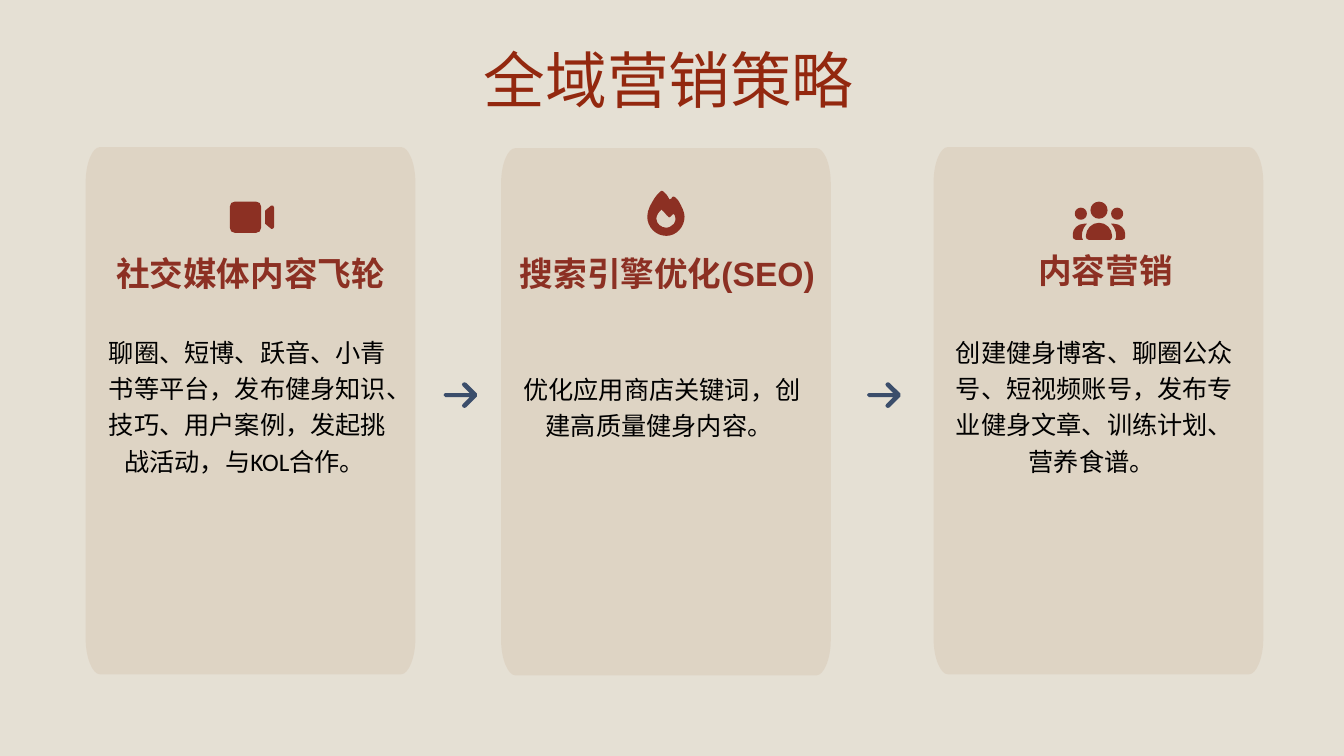
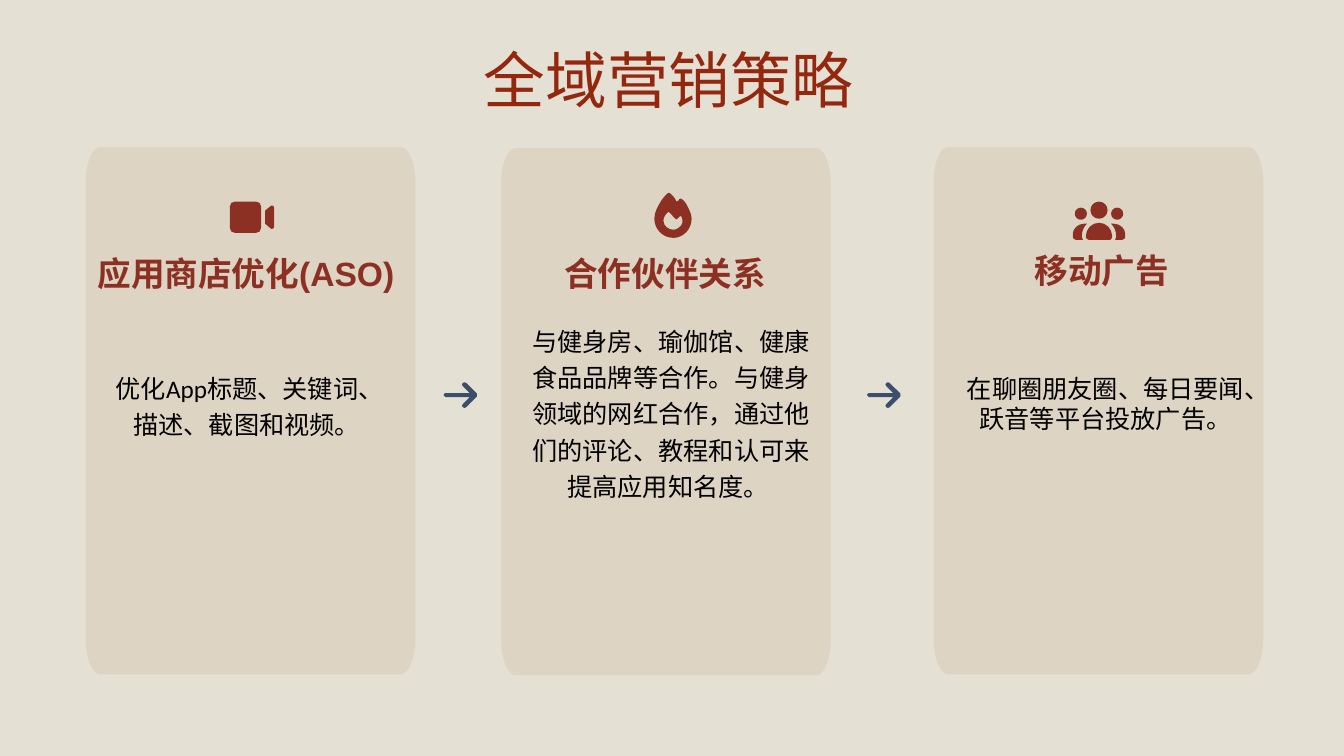
from dataclasses import dataclass
from typing import Iterator

from lxml.etree import SubElement
from pptx import Presentation
from pptx.dml.color import RGBColor
from pptx.enum.shapes import MSO_SHAPE
from pptx.enum.text import MSO_ANCHOR, MSO_AUTO_SIZE, PP_ALIGN
from pptx.oxml.ns import qn
from pptx.shapes.autoshape import Shape
from pptx.slide import Slide
from pptx.util import Inches, Pt

Point = tuple[int, int]


@dataclass(frozen=True)
class Theme:
    background: str = "E5E0D4"
    card: str = "D1BBA2"
    card_opacity: int = 30
    accent: str = "8C3023"
    title: str = "93280F"
    arrow: str = "3B4E6B"
    body: str = "000000"
    heading_font: str = "Arial"
    body_font: str = "Calibri"
    title_size: int = 44
    heading_size: int = 24
    body_size: int = 18


@dataclass(frozen=True)
class Column:
    left: float
    top: float
    icon: str
    icon_left: float
    icon_top: float
    heading_top: float
    heading_width: float


@dataclass(frozen=True)
class Card:
    heading: str
    heading_left: float
    body: str
    body_left: float
    body_top: float = 2.5
    line_spacing: float = 1.2
    icon_shift: tuple[float, float] = (0, 0)


THEME = Theme()
PAGE_WIDTH, PAGE_HEIGHT = Inches(13.33), Inches(7.5)
HEADING_HEIGHT = 0.73
BODY_WIDTH, BODY_HEIGHT = 2.81, 3.01
ARROW_LEFTS, ARROW_TOP = (4.4, 8.6), 3.79

CARD_OUTLINE = (
    "M 14 0 L 313 0 C 320 0 327 15 327 35 L 327 488 C 327 507 320 523 313 523 "
    "L 14 523 C 7 523 0 507 0 488 L 0 35 C 0 15 7 0 14 0"
)
ARROW = (
    "M 33 14.5 C 33.5 13.5 33.5 12.5 33 11.5 L 22.5 1 C 21.5 0 20 0 19 1 "
    "C 18 2 18 3 19 4 L 26 11 L 2 11 C 1 11 0 12 0 13 C 0 14 1 15 2 15 "
    "L 26 15 L 19 22 C 18 23 18 24 19 25 C 20 26 21.5 26 22.5 25 L 33 14.5"
)
VIDEO = (
    "M 5 0 C 2 0 0 2 0 5 L 0 26 C 0 29 2 31 5 31 L 26 31 C 29 31 31 29 31 26 "
    "L 31 5 C 31 2 29 0 26 0 L 5 0 "
    "M 35 22 L 41 27 C 42 27.5 44 27 44 25 L 44 6 C 44 4 42 3.5 41 4 L 35 9 L 35 22"
)
FLAME = (
    "M 13 1 C 14 0 15 0 16 1 C 17 2 18 3 19 4 C 20 5 21 7 22 9 "
    "C 23 9 23 8 24 8 C 24 7 25 6 26 6 C 27 6 28 7 29 8 "
    "C 30 9 31 10 32 12 C 34 16 37 21 37 26 C 37 36 29 45 19 45 "
    "C 8 45 0 36 0 26 C 0 19 4 13 7 8 C 8 6 10 4 13 1 "
    "M 19 37 C 21 37 23 36 24 35 C 28 33 29 28 27 24 C 26 23 25 23 25 24 "
    "L 23 26 C 22 27 21 27 21 26 C 19 25 17 21 15 20 C 15 19 14 19 14 19 "
    "C 12 21 9 24 9 28 C 9 33 14 37 19 37"
)
PEOPLE = (
    "M 26 0 C 30.7 0 34.5 3.8 34.5 8.5 C 34.5 13.2 30.7 17 26 17 "
    "C 21.3 17 17.5 13.2 17.5 8.5 C 17.5 3.8 21.3 0 26 0 "
    "M 8 6 C 11.3 6 14 8.7 14 12 C 14 15.3 11.3 18 8 18 "
    "C 4.7 18 2 15.3 2 12 C 2 8.7 4.7 6 8 6 "
    "M 44 6 C 47.3 6 50 8.7 50 12 C 50 15.3 47.3 18 44 18 "
    "C 40.7 18 38 15.3 38 12 C 38 8.7 40.7 6 44 6 "
    "M 0 32 C 0 27 5 22 11 22 L 14 22 C 11 25 9 29 9 34 L 9 35 "
    "C 9 36 9 37 10 38 L 3 38 C 1 38 0 36 0 35 L 0 32 "
    "M 52 32 C 52 27 47 22 41 22 L 38 22 C 41 25 43 29 43 34 L 43 35 "
    "C 43 36 43 37 42 38 L 49 38 C 51 38 52 36 52 35 L 52 32 "
    "M 13 34 C 13 27 19 21 26 21 C 33 21 39 27 39 34 L 39 35 "
    "C 39 36 38 38 37 38 L 16 38 C 14 38 13 36 13 35 L 13 34"
)

COLUMNS = (
    Column(0.85, 1.46, VIDEO, 2.28, 2.0, 2.37, 3.15),
    Column(4.97, 1.47, FLAME, 6.42, 1.89, 2.37, 3.15),
    Column(9.26, 1.46, PEOPLE, 10.64, 2.0, 2.34, 1.43),
)
TITLE = "全域营销策略"
PAGES = (
    (
        Card("社交媒体内容飞轮", 0.91,
             "聊圈、短博、跃音、小青书等平台，发布健身知识、技巧、用户案例，发起挑战活动，与KOL合作。 ", 1.05),
        Card("搜索引擎优化(SEO) ", 5.09, "优化应用商店关键词，创建高质量健身内容。 ", 5.16, 2.51),
        Card("内容营销", 10.25,
             "创建健身博客、聊圈公众号、短视频账号，发布专业健身文章、训练计划、营养食谱。 ", 9.45),
    ),
    (
        Card("应用商店优化(ASO) ", 0.91, "优化App标题、关键词、描述、截图和视频。 ", 1.07),
        Card("合作伙伴关系 ", 5.06,
             "与健身房、瑜伽馆、健康食品品牌等合作。与健身领域的网红合作，通过他们的评论、教程和认可来提高应用知名度。 ",
             5.25, 2.57, icon_shift=(0.07, 0.02)),
        Card("移动广告 ", 10.25, "在聊圈朋友圈、每日要闻、跃音等平台投放广告。", 9.56, line_spacing=1.0),
    ),
)


def color(value: str) -> RGBColor:
    return RGBColor.from_string(value)


def contours(outline: str, left: float, top: float) -> Iterator[list[list[Point]]]:
    for contour in outline.split("M")[1:]:
        segments = []
        for segment in contour.replace("C", "L").split("L"):
            values = list(map(float, segment.split()))
            segments.append([
                (Inches(left + x / 100), Inches(top + y / 100))
                for x, y in zip(values[::2], values[1::2])
            ])
        yield segments


def bend_segments(shape: Shape, segments: list[list[Point]]) -> None:
    lines = list(shape._element.iter(qn("a:lnTo")))
    for line, points in zip(lines, segments):
        if len(points) == 1:
            continue
        line.tag = qn("a:cubicBezTo")
        line.clear()
        for x, y in points:
            SubElement(line, qn("a:pt"), x=str(x - shape.left), y=str(y - shape.top))


def paint_shape(shape: Shape, fill: str, opacity: int = 100) -> None:
    shape.shadow.inherit = False
    shape.line.fill.background()
    shape.fill.solid()
    shape.fill.fore_color.rgb = color(fill)
    if opacity < 100:
        paint = shape._element.spPr.find(qn("a:solidFill")).find(qn("a:srgbClr"))
        SubElement(paint, qn("a:alpha"), val=str(opacity * 1000))


def draw_outline(page: Slide, outline: str, left: float, top: float, *,
                 fill: str, opacity: int = 100) -> None:
    parts = list(contours(outline, left, top))
    builder = page.shapes.build_freeform(*parts[0][0][0])
    for index, segments in enumerate(parts):
        if index:
            builder.move_to(*segments[0][0])
        builder.add_line_segments([points[-1] for points in segments[1:]], close=True)
    shape = builder.convert_to_shape()
    bend_segments(shape, [points for segments in parts for points in segments[1:]])
    paint_shape(shape, fill, opacity)


def write_text(box: Shape, text: str, *, font: str, size: int, ink: str,
               bold: bool = False, line_spacing: float = 1.0, inset: float = 0) -> None:
    frame = box.text_frame
    frame.word_wrap = True
    frame.auto_size = MSO_AUTO_SIZE.NONE
    frame.vertical_anchor = MSO_ANCHOR.MIDDLE
    frame.margin_left = frame.margin_right = Inches(inset)
    frame.margin_top = frame.margin_bottom = Inches(inset)
    para = frame.paragraphs[0]
    para.alignment = PP_ALIGN.CENTER
    para.line_spacing = line_spacing
    span = para.add_run()
    span.text = text
    span.font.name = font
    span.font.size = Pt(size)
    span.font.bold = bold
    span.font.color.rgb = color(ink)


def draw_card(page: Slide, column: Column, card: Card) -> None:
    draw_outline(page, CARD_OUTLINE, column.left, column.top,
                 fill=THEME.card, opacity=THEME.card_opacity)
    shift_x, shift_y = card.icon_shift
    draw_outline(page, column.icon, column.icon_left + shift_x,
                 column.icon_top + shift_y, fill=THEME.accent)
    heading = page.shapes.add_textbox(
        Inches(card.heading_left), Inches(column.heading_top),
        Inches(column.heading_width), Inches(HEADING_HEIGHT))
    write_text(heading, card.heading, font=THEME.heading_font, size=THEME.heading_size,
               ink=THEME.accent, bold=True, line_spacing=0.9)
    body = page.shapes.add_textbox(
        Inches(card.body_left), Inches(card.body_top),
        Inches(BODY_WIDTH), Inches(BODY_HEIGHT))
    write_text(body, card.body, font=THEME.body_font, size=THEME.body_size,
               ink=THEME.body, line_spacing=card.line_spacing)


def draw_backdrop(page: Slide) -> None:
    backdrop = page.shapes.add_shape(MSO_SHAPE.RECTANGLE, 0, 0, PAGE_WIDTH, PAGE_HEIGHT)
    paint_shape(backdrop, THEME.background)
    page.shapes._spTree.insert(2, backdrop._element)


def draw_title(page: Slide) -> None:
    title = page.shapes.title
    title.left, title.top = Inches(3.21), Inches(0.38)
    title.width, title.height = Inches(6.85), Inches(0.8)
    write_text(title, TITLE, font=THEME.heading_font, size=THEME.title_size,
               ink=THEME.title, inset=0.03)


def main() -> None:
    deck = Presentation()
    deck.slide_width, deck.slide_height = PAGE_WIDTH, PAGE_HEIGHT
    for cards in PAGES:
        page = deck.slides.add_slide(deck.slide_layouts.get_by_name("Title Only"))
        draw_backdrop(page)
        draw_title(page)
        for column, card in zip(COLUMNS, cards):
            draw_card(page, column, card)
        for left in ARROW_LEFTS:
            draw_outline(page, ARROW, left, ARROW_TOP, fill=THEME.arrow)
    deck.save("out.pptx")


if __name__ == "__main__":
    main()
